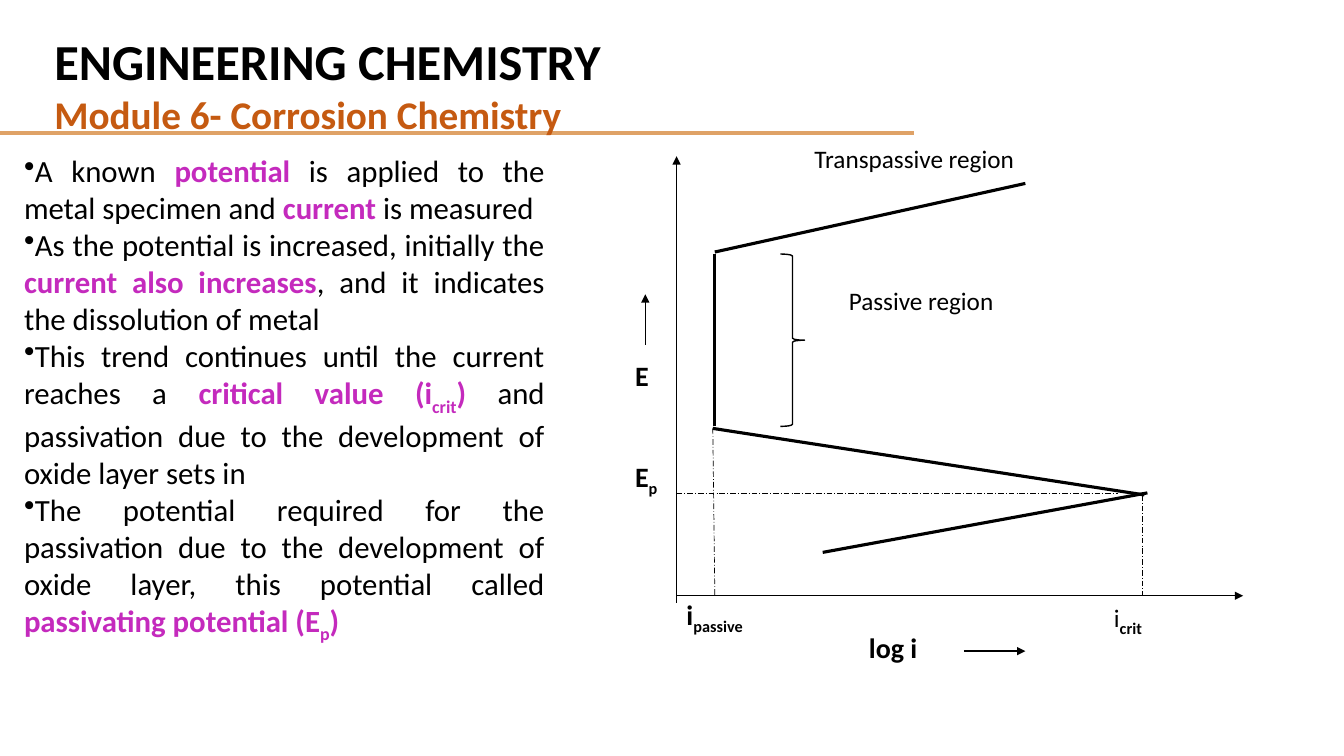
"""Build a slide on passivation with its potential-current diagram."""
from lxml import etree
from pptx import Presentation
from pptx.dml.color import RGBColor
from pptx.enum.dml import MSO_LINE
from pptx.enum.shapes import MSO_CONNECTOR, MSO_SHAPE
from pptx.enum.text import MSO_ANCHOR, MSO_AUTO_SIZE, PP_ALIGN
from pptx.oxml.ns import qn
from pptx.util import Pt

PX = 9144
BLACK = RGBColor(0x00, 0x00, 0x00)
GOLD = RGBColor(0xDF, 0xA2, 0x67)
ORANGE = RGBColor(0xC5, 0x5A, 0x11)
MAGENTA = RGBColor(0xC4, 0x2A, 0xBD)
STRAIGHT = MSO_CONNECTOR.STRAIGHT
RIGHT_BRACE = MSO_SHAPE.RIGHT_BRACE
DASH_DOT = MSO_LINE.LONG_DASH_DOT
MIDDLE = MSO_ANCHOR.MIDDLE
JUSTIFY = PP_ALIGN.JUSTIFY
FIT_SHAPE = MSO_AUTO_SIZE.SHAPE_TO_FIT_TEXT

PLAIN = {"size": Pt(22), "color": BLACK, "bold": False}
KEY = {"size": Pt(22), "color": MAGENTA, "bold": True}
KEY_SUB = {**KEY, "baseline": -30000}
KEY_LOW = {**KEY, "baseline": -25000}
TITLE = {"size": Pt(36), "color": BLACK, "bold": True}
MODULE = {"size": Pt(28), "color": ORANGE, "bold": True}
REGION = {"size": Pt(18), "color": BLACK, "bold": False}
AXIS = {"size": Pt(20), "color": BLACK, "bold": True}
AXIS_SUB = {**AXIS, "baseline": -25000}

presentation = Presentation()
presentation.slide_width = 1333 * PX
presentation.slide_height = 750 * PX
slide = presentation.slides.add_slide(presentation.slide_layouts[6])


def add_line(start, end, color, width, dash=None, arrow=False):
    points = [value * PX for value in (*start, *end)]
    connector = slide.shapes.add_connector(STRAIGHT, *points)
    connector.line.color.rgb = color
    connector.line.width = Pt(width)
    if dash:
        connector.line.dash_style = dash
    properties = connector._element.spPr
    if arrow:
        etree.SubElement(properties.find(qn("a:ln")), qn("a:tailEnd"), type="triangle")
    etree.SubElement(properties, qn("a:effectLst"))


def add_text(left, top, width, height, paragraphs):
    box = slide.shapes.add_textbox(left * PX, top * PX, width * PX, height * PX)
    frame = box.text_frame
    frame.word_wrap = True
    frame.auto_size = FIT_SHAPE
    for index, runs in enumerate(paragraphs):
        paragraph = frame.add_paragraph() if index else frame.paragraphs[0]
        for text, style in runs:
            run = paragraph.add_run()
            run.text = text
            run.font.name = "Calibri"
            run.font.size = style["size"]
            run.font.bold = style["bold"]
            run.font.color.rgb = style["color"]
            if "baseline" in style:
                run._r.get_or_add_rPr().set("baseline", str(style["baseline"]))
    return frame


add_line((-1, 132), (907, 132), GOLD, 3)
add_text(44, 25, 875, 118, [
    [("ENGINEERING CHEMISTRY", TITLE)],
    [("Module 6- Corrosion Chemistry", MODULE)],
])

body = add_text(14, 149, 536, 491, [
    [("A known ", PLAIN), ("potential", KEY),
     (" is applied to the metal specimen and ", PLAIN), ("current", KEY),
     (" is measured", PLAIN)],
    [("As the potential is increased, initially the ", PLAIN),
     ("current also increases", KEY),
     (", and it indicates the dissolution of metal", PLAIN)],
    [("This trend continues until the current reaches a ", PLAIN),
     ("critical value (i", KEY), ("crit", KEY_SUB), (") ", KEY),
     ("and passivation due to the development of oxide layer sets in", PLAIN)],
    [("The potential required for the passivation due to the development of "
      "oxide layer, this potential called ", PLAIN),
     ("passivating potential (E", KEY), ("p", KEY_LOW), (")", KEY)],
])
body.vertical_anchor = MIDDLE
for paragraph in body.paragraphs:
    paragraph.alignment = JUSTIFY
    properties = paragraph._p.get_or_add_pPr()
    etree.SubElement(properties, qn("a:buChar"), char="•")
    tabs = etree.SubElement(properties, qn("a:tabLst"))
    etree.SubElement(tabs, qn("a:tab"), pos=str(50 * PX), algn="l")

arrows = [
    ((671, 598), (671, 155), 0.5),
    ((671, 591), (1233, 591), 0.5),
    ((640, 342), (640, 292), 1),
    ((956, 646), (1017, 646), 1.5),
]
for start, end, width in arrows:
    add_line(start, end, BLACK, width, arrow=True)

curve = [
    ((816, 548), (1138, 489)),
    ((1135, 491), (707, 425)),
    ((709, 423), (709, 252)),
    ((709, 250), (1017, 182)),
]
for start, end in curve:
    add_line(start, end, BLACK, 2.25)

guides = [
    ((671, 489), (1109, 489)),
    ((1133, 491), (1133, 591)),
    ((707, 425), (709, 591)),
]
for start, end in guides:
    add_line(start, end, BLACK, 0.5, dash=DASH_DOT)

brace = slide.shapes.add_shape(RIGHT_BRACE, 774 * PX, 252 * PX, 24 * PX, 171 * PX)
brace.shadow.inherit = False
brace.fill.background()
brace.line.color.rgb = BLACK
brace.line.width = Pt(1)

labels = [
    (832, 278, 205, 79, [("Passive region", REGION)]),
    (798, 137, 420, 64, [("Transpassive region", REGION)]),
    (852, 621, 140, 49, [("log i", AXIS)]),
    (1095, 590, 123, 45, [("i", REGION), ("crit", AXIS_SUB)]),
    (671, 588, 156, 49, [("i", AXIS), ("passive", AXIS_SUB)]),
]
for left, top, width, height, runs in labels:
    add_text(left, top, width, height, [runs])

potentials = add_text(620, 351, 80, 161, [[("E", AXIS)], [("E", AXIS), ("p", AXIS_SUB)]])
potentials.paragraphs[1].space_before = Pt(48)

presentation.save("out.pptx")
